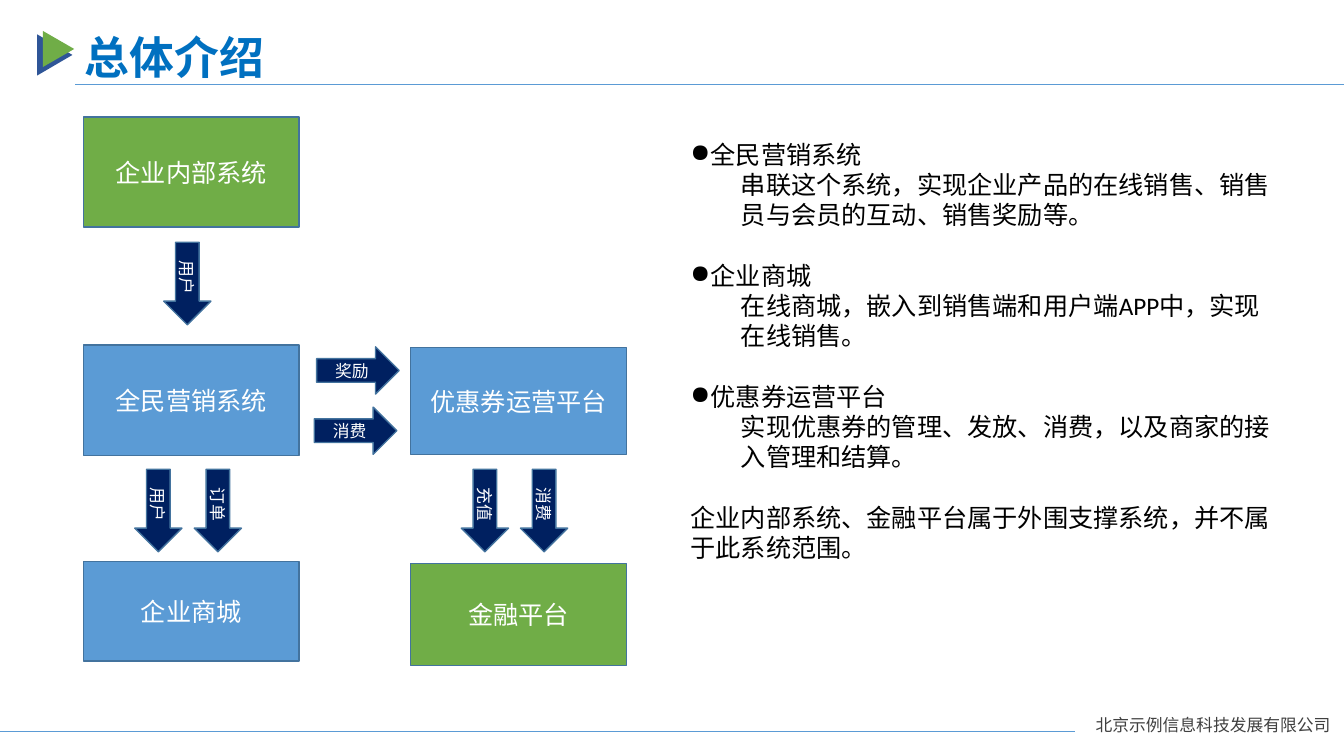
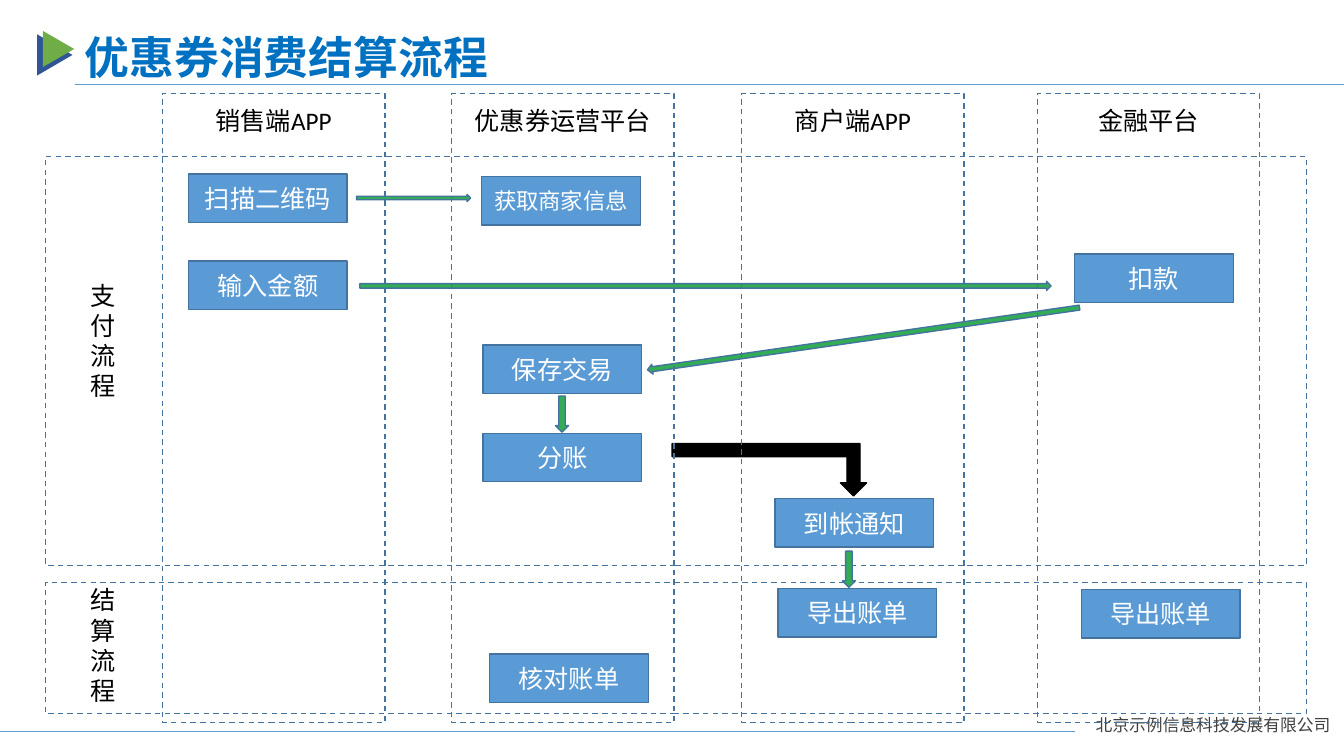
from lxml.etree import SubElement
from pptx import Presentation
from pptx.dml.color import RGBColor
from pptx.enum.dml import MSO_LINE
from pptx.enum.shapes import MSO_CONNECTOR, MSO_SHAPE
from pptx.enum.text import MSO_ANCHOR, MSO_AUTO_SIZE, PP_ALIGN
from pptx.oxml.ns import qn
from pptx.util import Cm, Pt

HUES = {
    "title": "0070C0", "rule": "5B9BD5", "edge": "43739E",
    "blue": "5B9BD5", "green": "70AD47", "navy": "002060",
    "deep": "2F5597", "flow": "33AD55", "black": "000000",
    "white": "FFFFFF", "grey": "404040",
}
LATIN, HAN = "Calibri", "Noto Sans CJK SC"
WIDE, HIGH = 33.87, 19.05


def hue(name):
    return RGBColor.from_string(HUES[name])


def style(frame, size, color, font=LATIN, align=None, bold=False):
    """Format every run, with a Chinese face beside the Latin one."""
    for para in frame.paragraphs:
        para.alignment = align
        for run in para.runs:
            run.font.size, run.font.bold = Pt(size), bold
            run.font.color.rgb = hue(color)
            run.font.name = font
            face = SubElement(run._r.get_or_add_rPr(), qn("a:ea"))
            face.set("typeface", HAN)


def draw(slide, kind, box, fill=None, edge="edge", turn=0):
    shape = slide.shapes.add_shape(kind, *map(Cm, box))
    shape.shadow.inherit = False
    shape.rotation = turn
    if fill:
        shape.fill.solid()
        shape.fill.fore_color.rgb = hue(fill)
    else:
        shape.fill.background()
    if edge:
        shape.line.color.rgb = hue(edge)
        shape.line.width = Pt(1)
    else:
        shape.line.fill.background()
    return shape


def block(slide, kind, box, text, fill, size=18, turn=0):
    """Draw a filled shape with centred white text."""
    frame = draw(slide, kind, box, fill, turn=turn).text_frame
    frame.text = text
    frame.vertical_anchor = MSO_ANCHOR.MIDDLE
    style(frame, size, "white", align=PP_ALIGN.CENTER)


def dashed(slide, box):
    shape = draw(slide, MSO_SHAPE.RECTANGLE, box)
    shape.line.dash_style = MSO_LINE.DASH
    return shape


def write(slide, box, text, wrap=True):
    frame = slide.shapes.add_textbox(*map(Cm, box)).text_frame
    frame.word_wrap = wrap
    frame.text = text
    return frame


def rule(slide, left, right, top):
    line = slide.shapes.add_connector(
        MSO_CONNECTOR.STRAIGHT, Cm(left), Cm(top), Cm(right), Cm(top))
    line.line.color.rgb = hue("rule")
    line.line.width = Pt(0.5)
    SubElement(line.element.spPr, qn("a:effectLst"))


def brand(slide, layout):
    """Draw the shared marks and move them to the layout."""
    for box, fill in (((0.86, 0.94, 1.04, 0.89), "deep"),
                      ((1.02, 0.84, 0.91, 0.79), "green")):
        draw(slide, MSO_SHAPE.ISOSCELES_TRIANGLE, box, fill, None, 90)
    rule(slide, 1.9, WIDE, 2.13)
    rule(slide, 0, 27.1, 18.42)
    foot = write(slide, (27.36, 17.88, 6.5, 0.76),
                 "北京示例信息科技发展有限公司", False)
    style(foot, 12, "grey", HAN)
    for shape in list(slide.shapes):
        if not shape.is_placeholder:
            layout.shapes.element.append(shape.element)


def head(slide, text):
    title = slide.shapes.title
    title.left, title.top, title.width, title.height = map(
        Cm, (1.88, 0.61, 17.3, 1.6))
    frame = title.text_frame
    frame.text = text
    frame.auto_size = MSO_AUTO_SIZE.NONE
    frame.vertical_anchor = MSO_ANCHOR.TOP
    style(frame, 32, "title", HAN, PP_ALIGN.LEFT, True)


def chart(slide, left, top):
    """Draw the systems and the arrows between them."""
    second = 8.25
    for x, y, high, text, fill in (
            (0, 0, 2.77, "企业内部系统", "green"),
            (0, 5.74, 2.79, "全民营销系统", "blue"),
            (second, 5.81, 2.69, "优惠券运营平台", "blue"),
            (0, 11.2, 2.51, "企业商城", "blue"),
            (second, 11.25, 2.57, "金融平台", "green")):
        block(slide, MSO_SHAPE.RECTANGLE,
              (left + x, top + y, 5.44, high), text, fill)
    for x, y, text, turn in (
            (1.58, 3.6, "用户", 90),
            (5.88, 5.79, "奖励", 0), (5.82, 7.31, "消费", 0),
            (0.85, 9.32, "用户", 90), (2.35, 9.32, "订单", 90),
            (second + 0.83, 9.32, "充值", 90),
            (second + 2.32, 9.32, "消费", 90)):
        block(slide, MSO_SHAPE.RIGHT_ARROW,
              (left + x, top + y, 2.08, 1.19), text, "navy", 12, turn)


def indent(para, left, first=0, mark=None):
    props = para._p.get_or_add_pPr()
    props.set("marL", str(Cm(left)))
    props.set("indent", str(Cm(first)))
    if mark:
        SubElement(props, qn("a:buChar")).set("char", mark)


def notes(slide, box):
    """Write the bulleted list of systems and the closing remark."""
    items = (
        ("全民营销系统",
         "串联这个系统，实现企业产品的在线销售、销售员与会员的互动、销售奖励等。"),
        ("企业商城",
         "在线商城，嵌入到销售端和用户端APP中，实现在线销售。"),
        ("优惠券运营平台",
         "实现优惠券的管理、发放、消费，以及商家的接入管理和结算。"))
    last = "企业内部系统、金融平台属于外围支撑系统，并不属于此系统范围。"
    lines = [line for item in items for line in item] + [last]
    frame = write(slide, box, "\n".join(lines))
    style(frame, 18, "black")
    for num, para in enumerate(frame.paragraphs):
        if num % 2:
            indent(para, 1.27)
            continue
        para.space_before = Pt(21.6 if num else 0)
        if num < 2 * len(items):
            indent(para, 0.51, -0.51, "●")


def lanes(slide, left, top):
    for x, text in ((2.95, "销售端APP"), (10.24, "优惠券运营平台"),
                    (17.55, "商户端APP"), (25, "金融平台")):
        frame = dashed(slide, (left + x, top, 5.61, 15.85)).text_frame
        frame.text = text
        frame.vertical_anchor = MSO_ANCHOR.TOP
        frame.margin_top = Cm(0.3)
        style(frame, 18, "black", align=PP_ALIGN.CENTER)


def bands(slide, left, top):
    for y, high, text, mid in ((1.58, 10.31, "支付流程", 6.22),
                               (12.32, 3.3, "结算流程", 13.9)):
        dashed(slide, (left, top + y, 31.78, high))
        frame = write(slide, (left + 0.56, top + mid - 1.4, 1.78, 2.8),
                      "\n".join(text))
        frame.vertical_anchor = MSO_ANCHOR.MIDDLE
        style(frame, 18, "black", HAN, PP_ALIGN.CENTER)


def steps(slide, left, top):
    for x, y, text, size in (
            (3.61, 2.03, "扫描二维码", 18), (3.61, 4.22, "输入金额", 18),
            (11, 2.09, "获取商家信息", 16), (25.94, 4.04, "扣款", 18),
            (11.03, 6.33, "保存交易", 18), (11.03, 8.56, "分账", 18),
            (18.39, 10.21, "到帐通知", 18), (18.47, 12.47, "导出账单", 18),
            (11.2, 14.12, "核对账单", 18), (26.11, 12.5, "导出账单", 18)):
        block(slide, MSO_SHAPE.RECTANGLE,
              (left + x, top + y, 4, 1.22), text, "blue", size)


def links(slide, left, top):
    right, down = MSO_SHAPE.RIGHT_ARROW, MSO_SHAPE.DOWN_ARROW
    for kind, x, y, wide, high, turn in (
            (right, 7.85, 2.54, 2.87, 0.18, 0),
            (right, 7.93, 4.73, 17.42, 0.23, 0),
            (right, 15.12, 6.05, 11, 0.25, 171.8),
            (down, 12.86, 7.62, 0.33, 0.91, 0),
            (down, 20.09, 11.53, 0.33, 0.91, 0)):
        draw(slide, kind, (left + x, top + y, wide, high), "flow", turn=turn)
    bent = draw(slide, MSO_SHAPE.BENT_UP_ARROW,
                (left + 15.8, top + 8.82, 4.9, 1.32), "black", "black")
    bent.element.spPr.find(qn("a:xfrm")).set("flipV", "1")


def main():
    deck = Presentation()
    deck.slide_width, deck.slide_height = Cm(WIDE), Cm(HIGH)
    layout = deck.slide_layouts[5]

    intro = deck.slides.add_slide(layout)
    brand(intro, layout)
    head(intro, "总体介绍")
    chart(intro, 2.1, 2.95)
    notes(intro, (17.15, 3.38, 15.24, 11.02))

    flow = deck.slides.add_slide(layout)
    head(flow, "优惠券消费结算流程")
    for part in (bands, steps, links, lanes):
        part(flow, 1.14, 2.36)

    deck.save("out.pptx")


if __name__ == "__main__":
    main()
